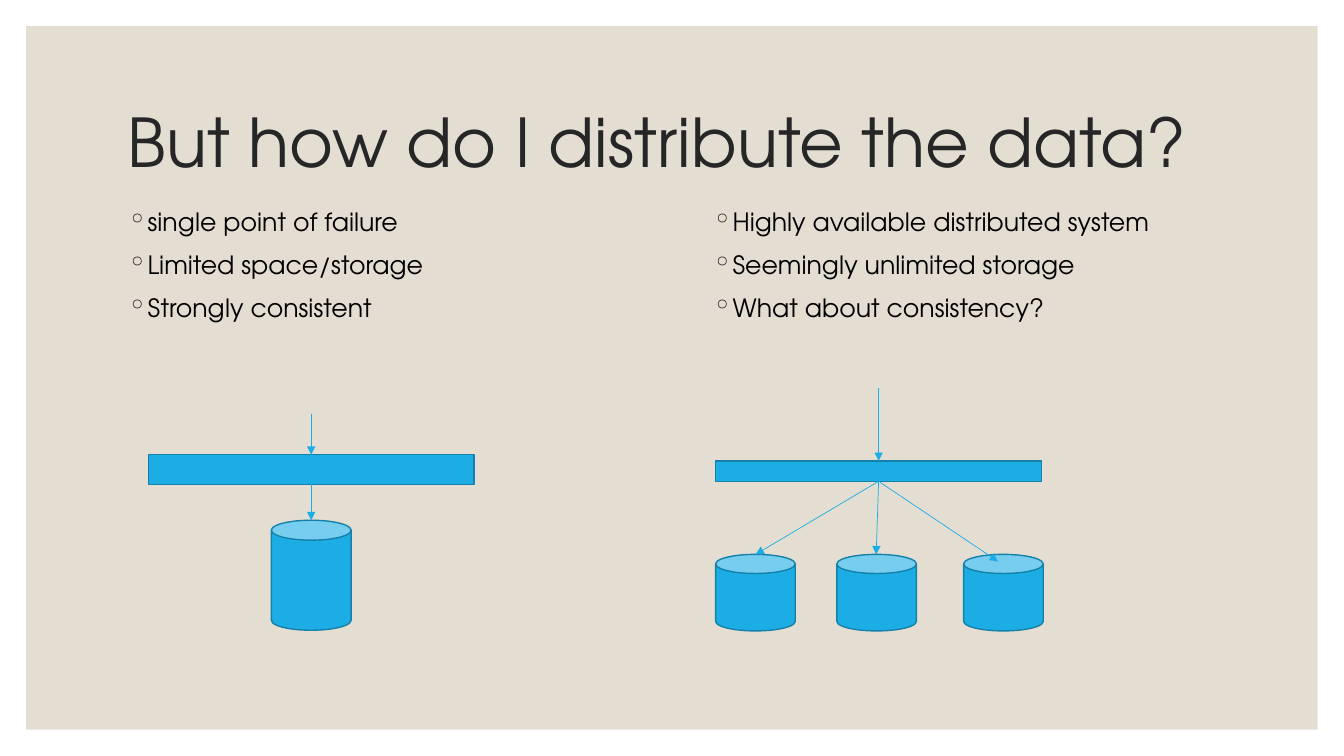
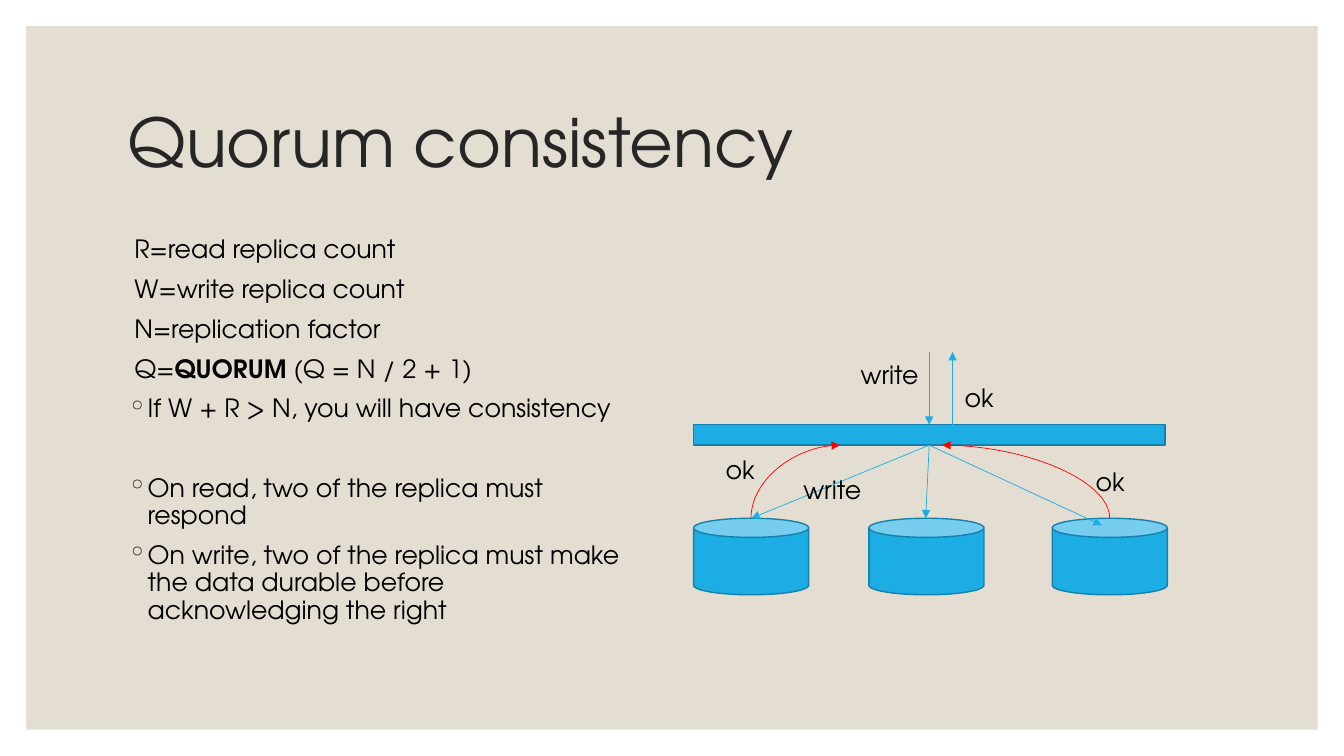
from lxml import etree
from pptx import Presentation
from pptx.dml.color import RGBColor
from pptx.enum.shapes import MSO_CONNECTOR, MSO_SHAPE
from pptx.enum.text import MSO_ANCHOR, MSO_AUTO_SIZE, PP_ALIGN
from pptx.oxml.ns import qn
from pptx.util import Pt

RECT, CAN = MSO_SHAPE.RECTANGLE, MSO_SHAPE.CAN
STRAIGHT, CURVE = MSO_CONNECTOR.STRAIGHT, MSO_CONNECTOR.CURVE
MIDDLE, LEFT = MSO_ANCHOR.MIDDLE, PP_ALIGN.LEFT
NO_FIT, FIT_SHAPE = MSO_AUTO_SIZE.NONE, MSO_AUTO_SIZE.SHAPE_TO_FIT_TEXT

FONT = "TeX Gyre Adventor"
PAPER, INK, BLACK = "E3DED1", "262626", "000000"
BLUE, EDGE, RED = "1CADE4", "1580A9", "FF0000"
TOP, BOTTOM = 0, 2
INDENT = 14.4
BAR_TOP, BAR_BOTTOM, CANS_TOP, CAN_H = 52, 66.6, 118.8, 54.7
CAN_W, CAN_LEFTS = 0.243, (0, 0.37, 0.757)
ARROW_ENDS = ((0.122, 0), (0.49, 0), (0.862, 5))


def rgb(value):
    """Turn a hex string into a colour."""
    return RGBColor.from_string(value)


def add_run(p, text, size=18, color=BLACK, bold=False):
    """Append one formatted run to a paragraph."""
    r = p.add_run()
    r.text = text
    r.font.name, r.font.size, r.font.bold = FONT, Pt(size), bold
    r.font.color.rgb = rgb(color)


def add_block(slide, kind, x, y, w, h, fill=BLUE, edge=EDGE):
    """Draw a filled shape, outlined unless edge is None."""
    sp = slide.shapes.add_shape(kind, Pt(x), Pt(y), Pt(w), Pt(h))
    sp.shadow.inherit = False
    sp.fill.solid()
    sp.fill.fore_color.rgb = rgb(fill)
    if edge:
        sp.line.color.rgb = rgb(edge)
        sp.line.width = Pt(1)
    else:
        sp.line.fill.background()
    return sp


def add_arrow(slide, x1, y1, x2, y2, color=BLUE, kind=STRAIGHT, end="tailEnd"):
    """Draw a thin connector with a triangle at the chosen end."""
    cx = slide.shapes.add_connector(kind, Pt(x1), Pt(y1), Pt(x2), Pt(y2))
    cx.line.color.rgb = rgb(color)
    cx.line.width = Pt(0.5)
    etree.SubElement(cx.line._get_or_add_ln(), qn("a:" + end), type="triangle")
    etree.SubElement(cx._element.spPr, qn("a:effectLst"))
    return cx


def add_reply(slide, bar_x, bar_y, can_x, can_y):
    """Draw a red quarter curve from a can up to the bar."""
    cx = add_arrow(slide, bar_x, bar_y, can_x, can_y, RED, CURVE, "headEnd")
    cx._element.spPr.find(qn("a:prstGeom")).set("prst", "curvedConnector2")


def add_label(slide, text, x, y, w):
    """Place a short unwrapped label."""
    sp = slide.shapes.add_textbox(Pt(x), Pt(y), Pt(w), Pt(29))
    tf = sp.text_frame
    tf.word_wrap = False
    tf.auto_size = FIT_SHAPE
    add_run(tf.paragraphs[0], text)


def set_bullet(p):
    """Give a paragraph a hanging ring bullet."""
    pPr = p._p.get_or_add_pPr()
    pPr.set("marL", str(Pt(INDENT)))
    pPr.set("indent", str(-Pt(INDENT)))
    color = etree.SubElement(pPr, qn("a:buClr"))
    etree.SubElement(color, qn("a:srgbClr"), val=INK)
    etree.SubElement(pPr, qn("a:buChar"), char="◦")


def add_body(slide, x, y, w, h, items, spacing=1.0):
    """Fill a text box from (runs, bulleted, space before) items."""
    tf = slide.shapes.add_textbox(Pt(x), Pt(y), Pt(w), Pt(h)).text_frame
    tf.word_wrap = True
    for i, (runs, bulleted, before) in enumerate(items):
        p = tf.add_paragraph() if i else tf.paragraphs[0]
        p.line_spacing, p.space_before = spacing, Pt(before)
        if bulleted:
            set_bullet(p)
        else:
            p._p.get_or_add_pPr().set("marL", str(Pt(5)))
        for text, bold in runs:
            add_run(p, text, bold=bold)


def add_title_slide(prs, title):
    """Add a title-only slide with the shared title style."""
    slide = prs.slides.add_slide(prs.slide_layouts[5])
    sp = slide.shapes.title
    sp.left, sp.top, sp.width, sp.height = Pt(84), Pt(50.4), Pt(792), Pt(108)
    tf = sp.text_frame
    tf.vertical_anchor, tf.auto_size, tf.word_wrap = MIDDLE, NO_FIT, True
    p = tf.paragraphs[0]
    p.alignment, p.line_spacing = LEFT, 0.9
    add_run(p, title, 48, INK)
    return slide


def add_panel(slide):
    """Put the beige panel on the layout shared by all slides."""
    sp = add_block(slide, RECT, 18.72, 18.72, 922.56, 502.56, PAPER, None)
    slide.slide_layout.shapes._spTree.insert(2, sp._element)


def add_single_store(slide, x, y, w):
    """Draw one can fed through a bar."""
    mid, can_w = x + w / 2, 57
    bar = add_block(slide, RECT, x, y + 28.8, w, 21.2)
    add_block(slide, CAN, mid - can_w / 2, y + 75.6, can_w, 78.6)
    add_arrow(slide, mid, y, mid, y + 28.8).end_connect(bar, TOP)
    add_arrow(slide, mid, y + 50, mid, y + 75.6).begin_connect(bar, BOTTOM)


def add_cluster(slide, x, y, w):
    """Draw three cans fed through a bar."""
    for left in CAN_LEFTS:
        add_block(slide, CAN, x + left * w, y + CANS_TOP, CAN_W * w, CAN_H)
    bar_w = 0.995 * w
    mid = x + bar_w / 2
    bar = add_block(slide, RECT, x, y + BAR_TOP, bar_w, BAR_BOTTOM - BAR_TOP)
    add_arrow(slide, mid, y, mid, y + BAR_TOP).end_connect(bar, TOP)
    for end, drop in ARROW_ENDS:
        cx = add_arrow(slide, mid, y + BAR_BOTTOM, x + end * w, y + CANS_TOP + drop)
        cx.begin_connect(bar, BOTTOM)


def add_replies(slide, x, y, w):
    """Add the acknowledgements and labels to a cluster."""
    half = CAN_W / 2
    for bar_at, can_at in ((0.309, half), (0.525, CAN_LEFTS[2] + half)):
        add_reply(slide, x + bar_at * w, y + BAR_BOTTOM, x + can_at * w, y + CANS_TOP)
    add_arrow(slide, x + 185, y + BAR_TOP, x + 185, y)
    labels = (("write", 112.3, 1.4, 57), ("write", 71.3, 84.2, 57),
              ("ok", 15.8, 69.8, 35.3), ("ok", 280.1, 77.8, 35.3),
              ("ok", 186.5, 18, 35.3))
    for text, dx, dy, width in labels:
        add_label(slide, text, x + dx, y + dy, width)


def build_distribution(prs):
    """Build the comparison of one store and a cluster."""
    slide = add_title_slide(prs, "But how do I distribute the data?")
    add_panel(slide)
    columns = (
        (84, ("single point of failure", "Limited space/storage",
              "Strongly consistent")),
        (501.84, ("Highly available distributed system",
                  "Seemingly unlimited storage", "What about consistency?")),
    )
    for x, lines in columns:
        items = [([(line, False)], True, 9) for line in lines]
        add_body(slide, x, 144, 374.4, 316.8, items)
    add_single_store(slide, 106, 296, 232.6)
    add_cluster(slide, 511.2, 277.2, 234)


def build_quorum(prs):
    """Build the quorum rules with their write diagram."""
    slide = add_title_slide(prs, "Quorum consistency")
    items = [
        ([("R=read replica count", False)], False, 9),
        ([("W=write replica count", False)], False, 9),
        ([("N=replication factor", False)], False, 9),
        ([("Q=", False), ("QUORUM", True), (" (Q = N / 2 + 1)", False)], False, 9),
        ([("If W + R > N, you will have consistency", False)], True, 9),
        ([("On read, two of the replica must respond", False)], True, 37.4),
        ([("On write, two of the replica must make the data durable before "
           "acknowledging the right", False)], True, 9),
    ]
    add_body(slide, 84, 165.6, 374.4, 295.2, items, 0.9)
    box = (495.4, 251.4, 338.4)
    add_cluster(slide, *box)
    add_replies(slide, *box)


def main():
    """Build and save the deck."""
    prs = Presentation()
    prs.slide_width, prs.slide_height = Pt(960), Pt(540)
    build_distribution(prs)
    build_quorum(prs)
    prs.save("out.pptx")


if __name__ == "__main__":
    main()
